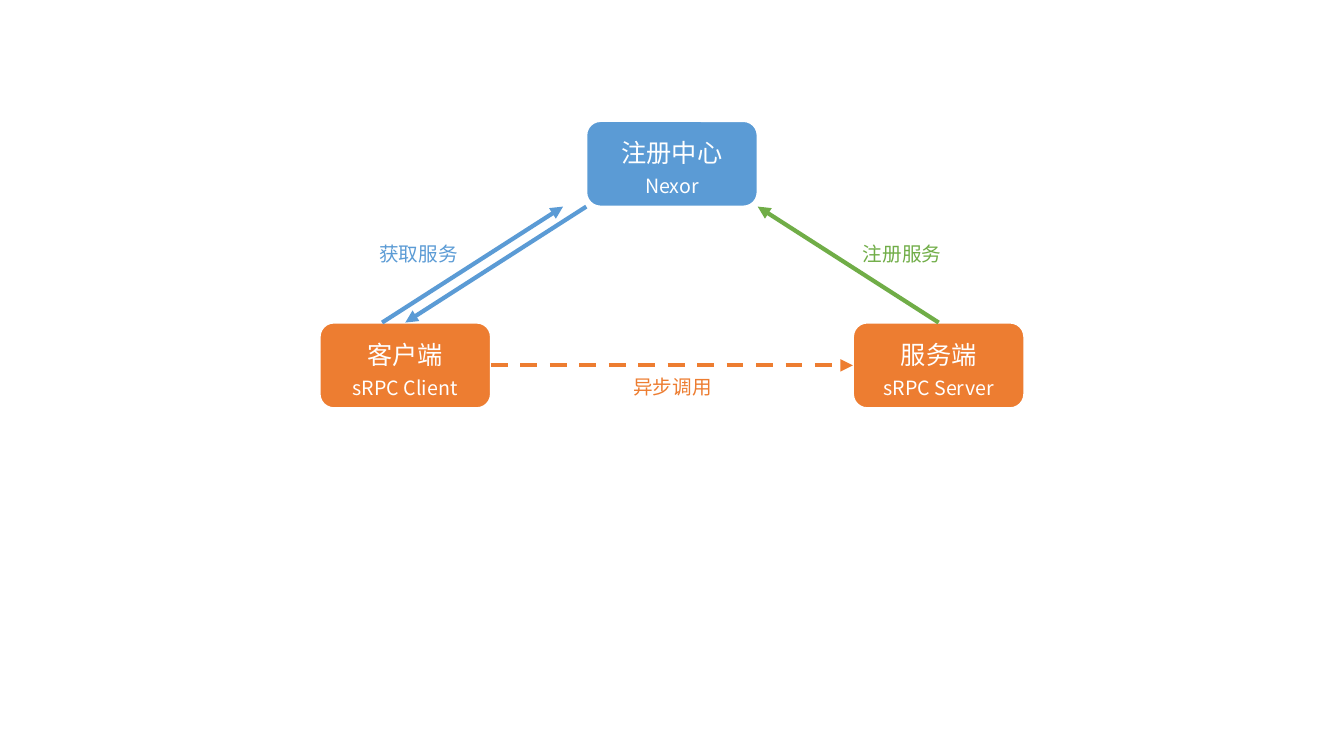
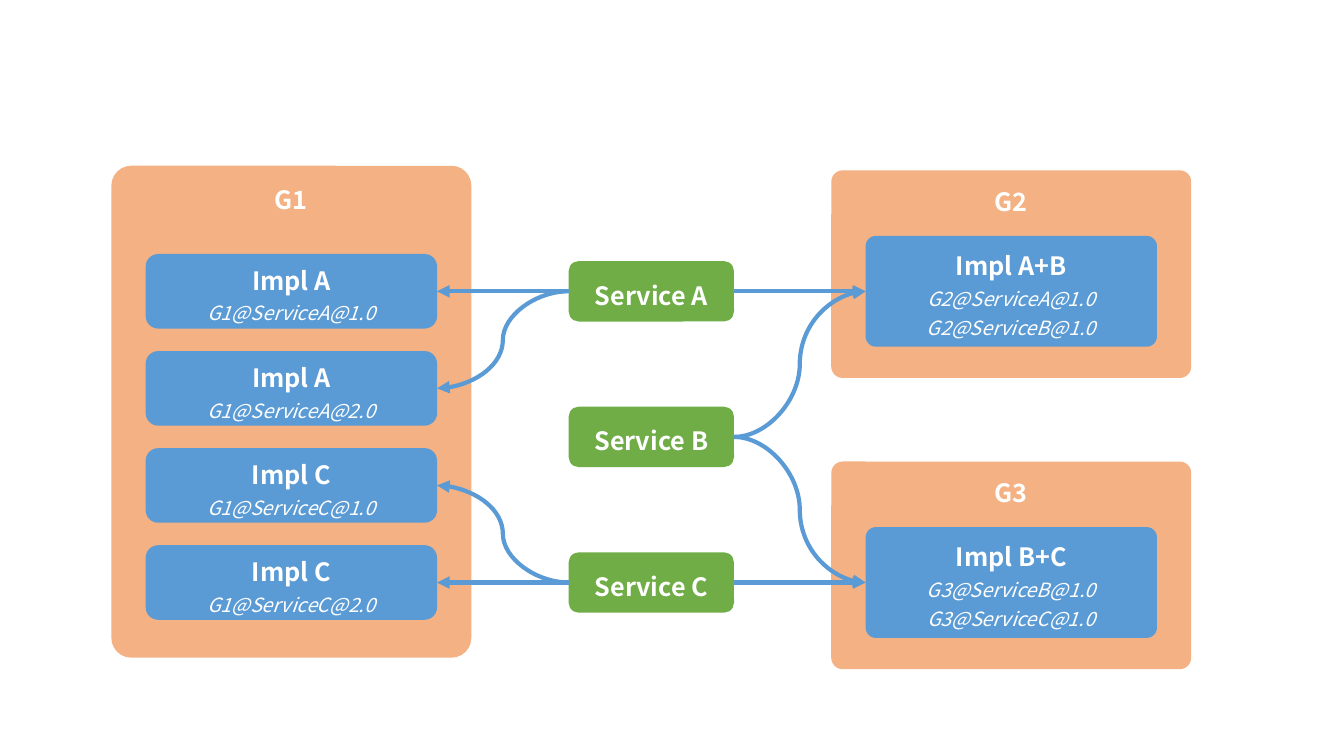
from lxml.etree import SubElement
from pptx import Presentation
from pptx.dml.color import RGBColor
from pptx.enum.dml import MSO_LINE
from pptx.enum.shapes import MSO_CONNECTOR, MSO_SHAPE
from pptx.enum.text import MSO_ANCHOR, PP_ALIGN
from pptx.oxml.ns import qn
from pptx.util import Inches, Pt

COLORS = {
    "blue": "5B9BD5",
    "orange": "ED7D31",
    "green": "70AD47",
    "peach": "F4B183",
    "white": "FFFFFF",
}
FONT = "Noto Sans CJK SC"
SLIDE_W, SLIDE_H = 13.33, 7.5
TOP, LEFT, RIGHT = 0, 1, 3

NODE_W, NODE_H = 1.7, 0.85
NODE_PITCH = 2.645
REGISTRY_Y, PEER_Y = 1.2, 3.2

COL_X, COL_PITCH = 2.89, 3.57
ROW_Y, ROW_PITCH = 2.89, 0.4815
CARD_W, CARD_H, TALL_CARD_H = 2.89, 0.74, 1.1
PANEL_W = 3.57


def color(name):
    return RGBColor.from_string(COLORS[name])


def write(frame, lines, ink="white", align=PP_ALIGN.CENTER, spacing=1.25,
          head_size=18, bold_head=False, italic_detail=False):
    frame.word_wrap = True
    frame.text = "\n".join(lines)
    for index, paragraph in enumerate(frame.paragraphs):
        paragraph.alignment = align
        paragraph.line_spacing = spacing
        for run in paragraph.runs:
            font = run.font
            font.name = FONT
            font.size = Pt(14 if index else head_size)
            font.bold = bold_head and index == 0
            font.italic = italic_detail and index > 0
            font.color.rgb = color(ink)
            SubElement(font._element, qn("a:ea"), typeface=FONT)


def add_box(slide, center_x, top, width, height, fill, lines, corner=None,
            outline=None, anchor=MSO_ANCHOR.MIDDLE, **style):
    box = slide.shapes.add_shape(
        MSO_SHAPE.ROUNDED_RECTANGLE, Inches(center_x - width / 2),
        Inches(top), Inches(width), Inches(height))
    box.shadow.inherit = False
    box.fill.solid()
    box.fill.fore_color.rgb = color(fill)
    if outline:
        box.line.color.rgb = color(outline)
        box.line.width = Pt(1.5)
    else:
        box.line.fill.background()
    if corner is not None:
        box.adjustments[0] = corner
    box.text_frame.vertical_anchor = anchor
    write(box.text_frame, lines, **style)
    return box


def add_arrow(slide, ink, kind=MSO_CONNECTOR.STRAIGHT, start=(0, 0), end=(0, 0),
              dash=None):
    arrow = slide.shapes.add_connector(
        kind, *(Inches(length) for length in (*start, *end)))
    arrow.line.color.rgb = color(ink)
    arrow.line.width = Pt(3)
    if dash:
        arrow.line.dash_style = dash
    SubElement(arrow.line._get_or_add_ln(), qn("a:tailEnd"), type="triangle")
    SubElement(arrow._element.spPr, qn("a:effectLst"))
    return arrow


def link(arrow, source, source_side, target, target_side):
    arrow.begin_connect(source, source_side)
    arrow.end_connect(target, target_side)


def add_label(slide, left, top, text, ink, align):
    label = slide.shapes.add_textbox(
        Inches(left), Inches(top), Inches(1.34), Inches(0.34))
    write(label.text_frame, [text], ink, align, 1.0, 14)


def add_node(slide, column, top, fill, lines):
    return add_box(slide, SLIDE_W / 2 + column * NODE_PITCH, top, NODE_W,
                   NODE_H, fill, lines, outline="white")


def build_registry(slide):
    add_node(slide, 0, REGISTRY_Y, "blue", ["注册中心", "Nexor"])
    client = add_node(slide, -1, PEER_Y, "orange", ["客户端", "sRPC Client"])
    server = add_node(slide, 1, PEER_Y, "orange", ["服务端", "sRPC Server"])

    registry_bottom = REGISTRY_Y + NODE_H
    registry_left = (SLIDE_W - NODE_W) / 2
    client_x = SLIDE_W / 2 - NODE_PITCH
    server_x = SLIDE_W / 2 + NODE_PITCH
    add_arrow(slide, "green", start=(server_x, PEER_Y),
              end=(registry_left + NODE_W, registry_bottom))
    add_arrow(slide, "blue", start=(client_x - 0.23, PEER_Y),
              end=(registry_left - 0.23, registry_bottom))
    add_arrow(slide, "blue", start=(registry_left, registry_bottom),
              end=(client_x, PEER_Y))
    link(add_arrow(slide, "orange", dash=MSO_LINE.DASH),
         client, RIGHT, server, LEFT)

    add_label(slide, 8.46, 2.35, "注册服务", "green", PP_ALIGN.LEFT)
    add_label(slide, 6, 3.67, "异步调用", "orange", PP_ALIGN.CENTER)
    add_label(slide, 3.3, 2.35, "获取服务", "blue", PP_ALIGN.RIGHT)


def add_cell(slide, column, row, width, height, fill, lines, rise=0, **style):
    return add_box(slide, COL_X + column * COL_PITCH,
                   ROW_Y + row * ROW_PITCH - rise - height / 2,
                   width, height, fill, lines, bold_head=True,
                   italic_detail=True, **style)


def add_panel(slide, column, row, height, rise, name):
    add_cell(slide, column, row, PANEL_W, height, "peach", [name], rise,
             corner=0.055, anchor=MSO_ANCHOR.TOP)


def build_groups(slide):
    add_panel(slide, 0, 3, 4.88, 0.25, "G1")
    add_panel(slide, 2, 0, 2.06, 0.17, "G2")
    add_panel(slide, 2, 6, 2.06, 0.17, "G3")

    versions = [("A", "1.0"), ("A", "2.0"), ("C", "1.0"), ("C", "2.0")]
    cards = {}
    for index, (letter, version) in enumerate(versions):
        cards[letter + version] = add_cell(
            slide, 0, index * 2, CARD_W, CARD_H, "blue",
            [f"Impl {letter}", f"G1@Service{letter}@{version}"])
    for group, letters, row in [("G2", "AB", 0), ("G3", "BC", 6)]:
        details = [f"{group}@Service{letter}@1.0" for letter in letters]
        cards[group] = add_cell(
            slide, 2, row, CARD_W, TALL_CARD_H, "blue",
            ["Impl " + "+".join(letters), *details], corner=0.094)

    services = {
        letter: add_cell(slide, 1, index * 3, 1.64, 0.6, "green",
                         [f"Service {letter}"])
        for index, letter in enumerate("ABC")
    }
    routes = {
        "A": ["A1.0", "A2.0", "G2"],
        "B": ["G2", "G3"],
        "C": ["C1.0", "C2.0", "G3"],
    }
    for letter, targets in routes.items():
        for target in targets:
            sides = (RIGHT, LEFT) if target in ("G2", "G3") else (LEFT, RIGHT)
            link(add_arrow(slide, "blue", MSO_CONNECTOR.CURVE),
                 services[letter], sides[0], cards[target], sides[1])


def main():
    deck = Presentation()
    deck.slide_width = Inches(SLIDE_W)
    deck.slide_height = Inches(SLIDE_H)
    blank = deck.slide_layouts[6]
    for build in (build_registry, build_groups):
        build(deck.slides.add_slide(blank))
    deck.save("out.pptx")


if __name__ == "__main__":
    main()
